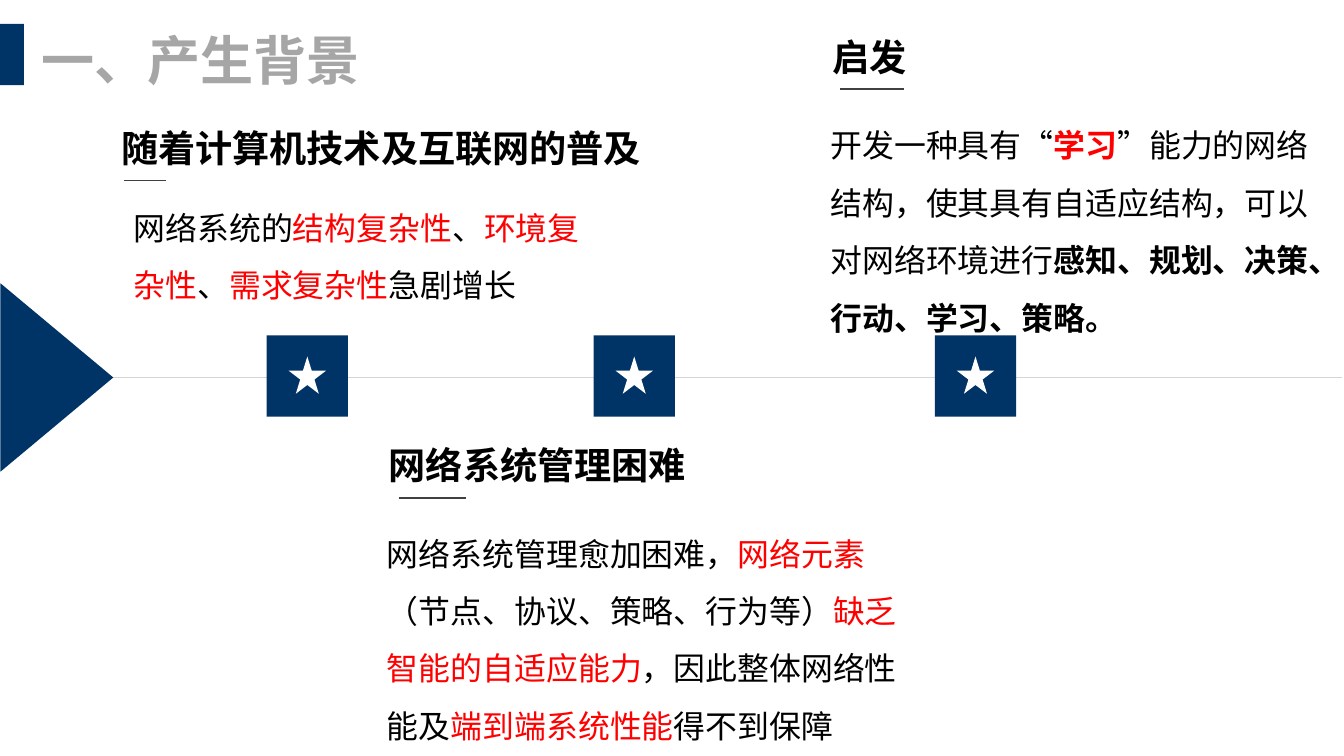
import pptx
import pptx.util
import pptx.dml.color
import pptx.enum.lang
import pptx.enum.shapes
import pptx.enum.text
import pptx.oxml.ns
from lxml import etree

Inches = pptx.util.Inches
Shape = pptx.enum.shapes.MSO_SHAPE
COLORS = {"navy": "003366", "white": "FFFFFF", "axis": "D5D5D5", "rule": "404040",
          "black": "000000", "red": "FF0000", "gray": "A6A6A6"}
ARIAL, NOTO = "Arial", "Noto Sans CJK SC"
BODY = {"size": pptx.util.Pt(24), "name": ARIAL, "bold": False}
HEADING = {"size": pptx.util.Pt(28), "bold": True}
TITLE = {"size": pptx.util.Pt(40), "name": NOTO, "bold": True}

presentation = pptx.Presentation()
presentation.slide_width = Inches(14.06)
presentation.slide_height = Inches(7.91)
slide = presentation.slides.add_slide(presentation.slide_layouts[5])


def rgb(color):
    return pptx.dml.color.RGBColor.from_string(COLORS[color])


def write(shape, runs, font_format, line_spacing=1.0):
    """Fill a text shape with (text, color, bold) runs in one paragraph."""
    frame = shape.text_frame
    frame.word_wrap = True
    paragraph = frame.paragraphs[0]
    paragraph.alignment = pptx.enum.text.PP_ALIGN.LEFT
    paragraph.line_spacing = line_spacing
    for text, color, bold in runs:
        run = paragraph.add_run()
        run.text = text
        for name, value in {**font_format, "bold": bold}.items():
            setattr(run.font, name, value)
        run.font.language_id = pptx.enum.lang.MSO_LANGUAGE_ID.SIMPLIFIED_CHINESE
        run.font.color.rgb = rgb(color)
        latin = run.font._element.find(pptx.oxml.ns.qn("a:latin"))
        east_asian = etree.Element(pptx.oxml.ns.qn("a:ea"), typeface=NOTO)
        latin.addnext(east_asian)


# Title
title = slide.shapes.title
title.left, title.top, title.width, title.height = map(Inches, (0.43, 0.29, 3.38, 0.67))
for side in ("left", "top", "right", "bottom"):
    setattr(title.text_frame, f"margin_{side}", 0)
title.text_frame.auto_size = pptx.enum.text.MSO_AUTO_SIZE.NONE
title.text_frame.vertical_anchor = pptx.enum.text.MSO_ANCHOR.MIDDLE
write(title, [("一、产生背景", "gray", True)], TITLE)

# Timeline axis and heading rules: left, y, length, color
for left, y, length, color in [(1.17, 3.95, 12.87, "axis"), (1.3, 1.89, 0.44, "rule"),
                               (4.17, 5.21, 0.71, "rule"), (8.79, 0.93, 0.67, "rule")]:
    line = slide.shapes.add_connector(
        pptx.enum.shapes.MSO_CONNECTOR.STRAIGHT,
        Inches(left), Inches(y), Inches(left + length), Inches(y))
    line.line.color.rgb = rgb(color)
    line.line.width = pptx.util.Pt(1)
    etree.SubElement(line._element.spPr, pptx.oxml.ns.qn("a:effectLst"))

# Title bar, start arrow and star milestones: preset, box, color, rotation
blocks = [(Shape.RECTANGLE, (0, 0.25, 0.25, 0.64), "navy", 0),
          (Shape.ISOSCELES_TRIANGLE, (-0.39, 3.36, 1.97, 1.18), "navy", 90)]
for left in (2.79, 6.21, 9.78):
    blocks += [(Shape.RECTANGLE, (left, 3.51, 0.85, 0.85), "navy", 0),
               (Shape.STAR_5_POINT, (left + 0.23, 3.73, 0.39, 0.39), "white", 0)]
for preset, box, color, rotation in blocks:
    block = slide.shapes.add_shape(preset, *map(Inches, box))
    block.rotation = rotation
    block.shadow.inherit = False
    block.fill.solid()
    block.fill.fore_color.rgb = rgb(color)
    block.line.fill.background()

# Stages: heading, its font and box, then body box and runs
stages = [
    ("随着计算机技术及互联网的普及", ARIAL, (1.17, 1.26, 5.72, 0.57), (1.3, 1.93, 5.13, 1.23),
     [("网络系统的", "black", False), ("结构复杂性", "red", False), ("、", "black", False),
      ("环境复杂性", "red", False), ("、", "black", False), ("需求复杂性", "red", False),
      ("急剧增长", "black", False)]),
    ("网络系统管理困难", NOTO, (3.97, 4.58, 5.4, 0.57), (3.95, 5.34, 5.75, 2.45),
     [("网络系统管理愈加困难，", "black", False), ("网络元素", "red", False),
      ("（节点、协议、策略、行为等）", "black", False), ("缺乏智能的自适应能力", "red", False),
      ("，因此整体网络性能及", "black", False), ("端到端系统性能", "red", False),
      ("得不到保障", "black", False)]),
    ("启发", ARIAL, (8.61, 0.31, 1.49, 0.57), (8.59, 1.07, 5.36, 2.45),
     [("开发一种具有“", "black", False), ("学习", "red", True),
      ("”能力的网络结构，使其具有自适应结构，可以对网络环境进行", "black", False),
      ("感知、规划、决策、行动、学习、策略。", "black", True)]),
]
for heading, font_name, heading_box, body_box, body_runs in stages:
    write(slide.shapes.add_textbox(*map(Inches, heading_box)),
          [(heading, "black", True)], {**HEADING, "name": font_name})
    write(slide.shapes.add_textbox(*map(Inches, body_box)), body_runs, BODY, 1.5)

presentation.save("out.pptx")
